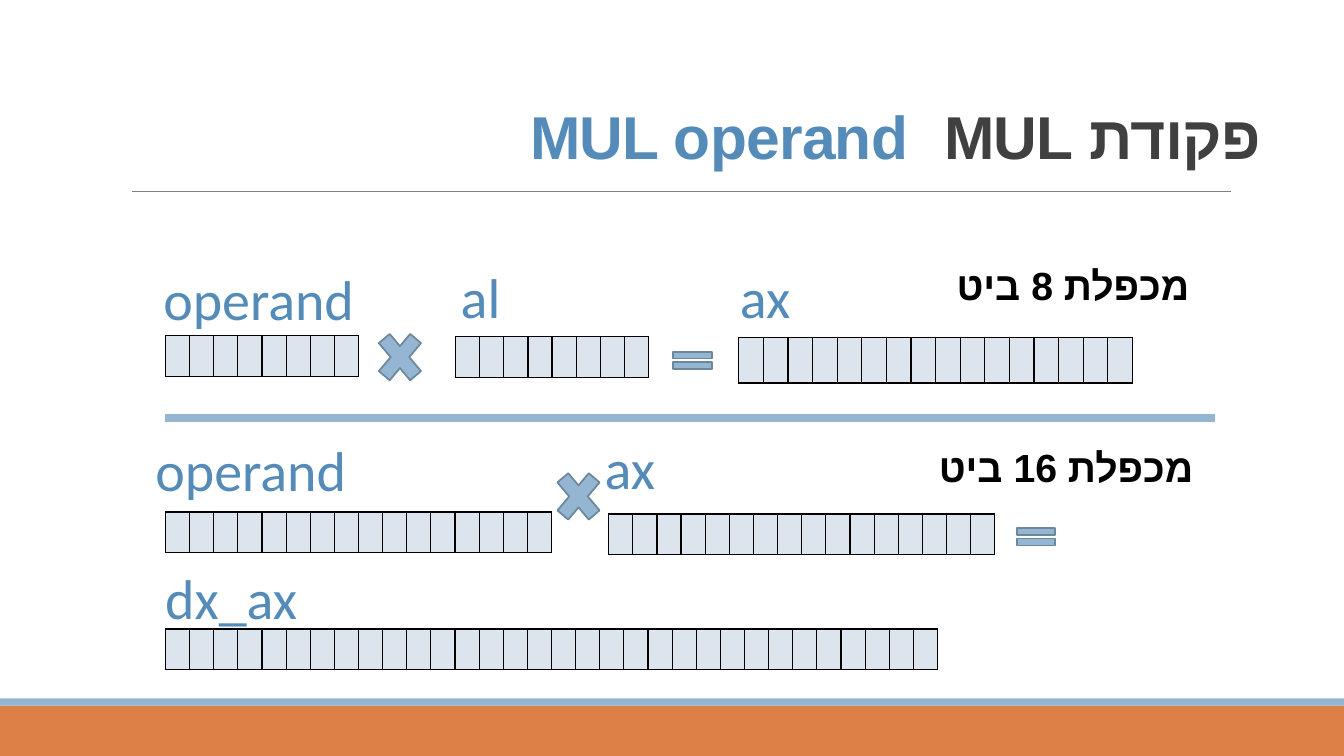
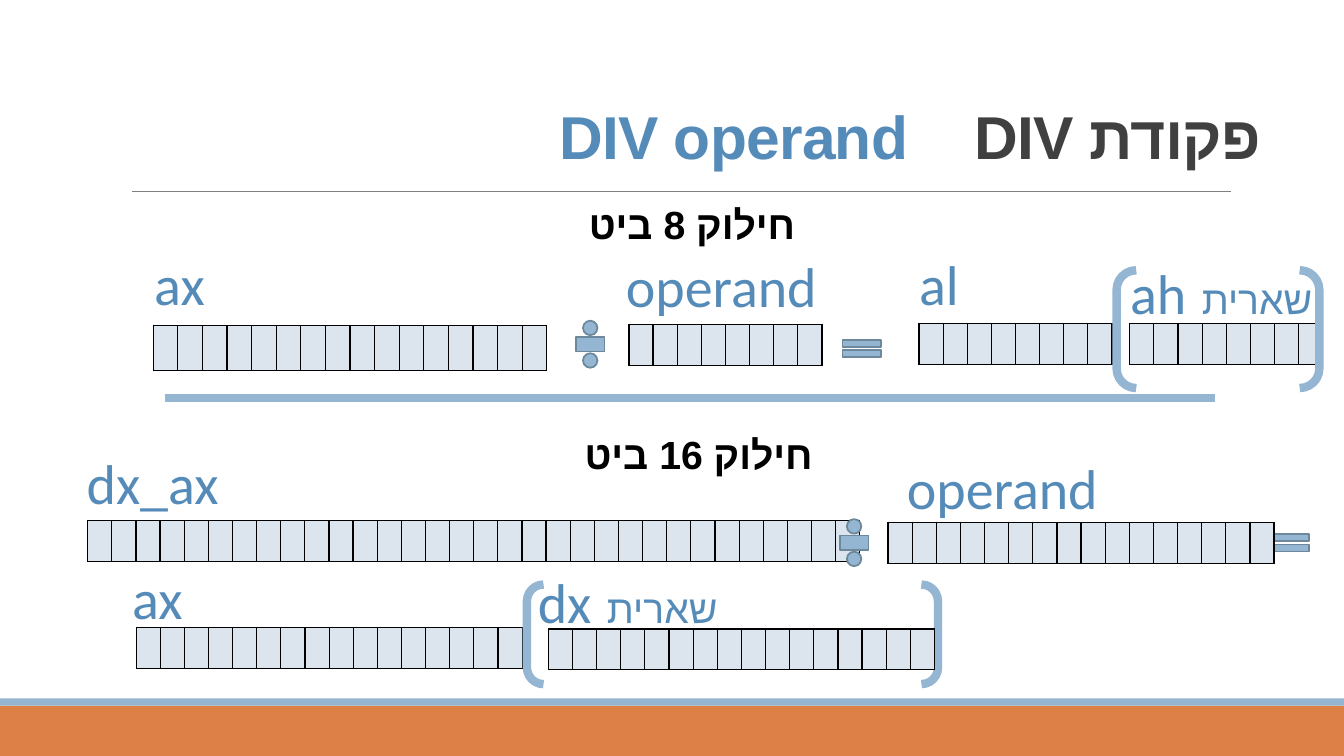
from dataclasses import dataclass
from typing import Union

from lxml import etree
from pptx import Presentation
from pptx.dml.color import RGBColor
from pptx.enum.shapes import MSO_CONNECTOR, MSO_SHAPE
from pptx.enum.text import MSO_ANCHOR, MSO_AUTO_SIZE, PP_ALIGN
from pptx.oxml.ns import qn
from pptx.util import Cm, Pt

BLACK, DARK, GREY, WHITE = "000000", "404040", "808080", "FFFFFF"
BLUE, SKY, SLATE, PALE, ORANGE = "558BB8", "94B6D2", "6D879B", "DCE5EE", "DD8047"
LATIN, HEBREW = "Calibri", "Arial"
RECTANGLE, BRACKETS = MSO_SHAPE.RECTANGLE, MSO_SHAPE.DOUBLE_BRACKET
TIMES, EQUALS = MSO_SHAPE.MATH_MULTIPLY, MSO_SHAPE.MATH_EQUAL
DIVIDE = MSO_SHAPE.MATH_DIVIDE
STRAIGHT = MSO_CONNECTOR.STRAIGHT

SLIDE_WIDTH, SLIDE_HEIGHT = 33.87, 19.05
TITLE_RIGHT = 32.03
CELL, WIDE_CELL = 0.58, 0.62
LABEL_WIDTHS = {"operand": 5.41, "al": 1.73, "ax": 2.03, "dx_ax": 4.01}
SIGN_SIZES = {TIMES: (1.52, 1.8), EQUALS: (1.32, 0.74), DIVIDE: (0.99, 1.55)}


@dataclass
class Register:
    left: float
    top: float
    bits: int
    cell: float = CELL
    height: float = 1.03


@dataclass
class Label:
    text: str
    left: float
    top: float


@dataclass
class Remainder:
    """The Hebrew word for remainder, followed by a register name."""
    register: str
    left: float
    top: float
    width: float


@dataclass
class Heading:
    text: str
    left: float
    top: float


@dataclass
class Sign:
    kind: MSO_SHAPE
    left: float
    top: float


@dataclass
class Brackets:
    left: float
    top: float
    width: float
    height: float


@dataclass
class Separator:
    top: float


Item = Union[Register, Label, Remainder, Heading, Sign, Brackets, Separator]


@dataclass
class Page:
    command: str
    tabs: str
    title_left: float
    items: list[Item]


PAGES = [
    Page("MUL", "\t\t", 9.32, [
        Register(4.17, 8.46, 8),
        Sign(TIMES, 9.32, 8.1),
        Sign(EQUALS, 16.79, 8.71),
        Register(11.48, 8.48, 8),
        Register(18.62, 8.51, 16, WIDE_CELL, 1.14),
        Label("operand", 3.76, 6.53),
        Label("al", 11.13, 6.48),
        Label("ax", 18.14, 6.48),
        Sign(TIMES, 13.82, 11.61),
        Sign(EQUALS, 25.45, 13.16),
        Label("operand", 3.56, 10.85),
        Label("ax", 14.73, 10.8),
        Register(4.17, 12.9, 16),
        Register(15.34, 12.95, 16),
        Register(4.17, 15.85, 32),
        Label("dx_ax", 3.73, 14.07),
        Separator(10.54),
        Heading("מכפלת 8 ביט", 22.68, 6.45),
        Heading("מכפלת 16 ביט", 22.78, 11.05),
    ]),
    Page("DIV", "\t\t\t", 10.03, [
        Register(23.16, 8.15, 8),
        Sign(EQUALS, 21.06, 8.41),
        Register(15.85, 8.18, 8),
        Register(3.86, 8.2, 16, WIDE_CELL, 1.14),
        Label("operand", 15.42, 6.22),
        Label("al", 22.68, 6.17),
        Label("ax", 3.38, 6.17),
        Sign(EQUALS, 31.85, 13.31),
        Label("operand", 22.5, 11.3),
        Label("ax", 2.82, 14.07),
        Register(22.38, 13.16, 16),
        Register(3.43, 15.82, 16),
        Register(2.21, 13.11, 32),
        Label("dx_ax", 1.75, 11.18),
        Separator(10.03),
        Heading("חילוק 8 ביט", 12.75, 4.93),
        Heading("חילוק 16 ביט", 13.19, 10.72),
        Sign(DIVIDE, 14.38, 7.9),
        Register(28.47, 8.15, 8),
        Remainder("ah", 27.76, 6.4, 5.56),
        Brackets(28.14, 6.81, 5.11, 2.97),
        Sign(DIVIDE, 21.03, 12.9),
        Remainder("dx", 13.13, 14.17, 5.2),
        Brackets(13.28, 14.73, 10.36, 2.51),
        Register(13.82, 15.85, 16),
    ]),
]


def paint(target, colour: str) -> None:
    """Give a fill or a line format a solid colour."""
    fill = target if hasattr(target, "solid") else target.fill
    fill.solid()
    fill.fore_color.rgb = RGBColor.from_string(colour)


def style_rtl(para, size: float, colour: str, bold: bool = False, latin: str = LATIN) -> None:
    """Right-to-left paragraph, with its own font for Hebrew letters."""
    para.alignment = PP_ALIGN.RIGHT
    para._p.get_or_add_pPr().set("rtl", "1")
    font = para.font
    font.size, font.bold = Pt(size), bold
    paint(font.fill, colour)
    font.name = latin
    etree.SubElement(font._element, qn("a:cs"), typeface=HEBREW)


def add_text(slide, left: float, top: float, width: float, height: float):
    box = slide.shapes.add_textbox(Cm(left), Cm(top), Cm(width), Cm(height))
    box.text_frame.word_wrap = True
    return box.text_frame.paragraphs[0]


def add_shape(slide, kind: MSO_SHAPE, left: float, top: float, width: float, height: float):
    shape = slide.shapes.add_shape(kind, Cm(left), Cm(top), Cm(width), Cm(height))
    shape.shadow.inherit = False
    return shape


def add_line(slide, left: float, right: float, top: float, colour: str, weight: float) -> None:
    line = slide.shapes.add_connector(STRAIGHT, Cm(left), Cm(top), Cm(right), Cm(top))
    paint(line.line, colour)
    line.line.width = Pt(weight)
    etree.SubElement(line._element.spPr, qn("a:effectLst"))


def add_borders(cell) -> None:
    properties = cell._tc.get_or_add_tcPr()
    for position, side in enumerate(("lnL", "lnR", "lnT", "lnB")):
        edge = etree.Element(qn(f"a:{side}"), w=str(Pt(1)))
        fill = etree.SubElement(edge, qn("a:solidFill"))
        etree.SubElement(fill, qn("a:srgbClr"), val=BLACK)
        properties.insert(position, edge)


def draw_register(slide, item: Register) -> None:
    table = slide.shapes.add_table(
        1, item.bits, Cm(item.left), Cm(item.top),
        Cm(item.cell * item.bits), Cm(item.height)).table
    for column in table.columns:
        column.width = Cm(item.cell)
    for cell in table.iter_cells():
        paint(cell.fill, PALE)
        add_borders(cell)


def draw_label(slide, item: Label) -> None:
    para = add_text(slide, item.left, item.top, LABEL_WIDTHS[item.text], 1.96)
    para.add_run().text = item.text
    style_rtl(para, 40, BLUE)


def draw_remainder(slide, item: Remainder) -> None:
    para = add_text(slide, item.left, item.top, item.width, 1.96)
    for text, size in (("שארית", 28), (f" {item.register}", 40)):
        span = para.add_run()
        span.text = text
        span.font.size = Pt(size)
    style_rtl(para, 40, BLUE)


def draw_heading(slide, item: Heading) -> None:
    para = add_text(slide, item.left, item.top, 7.54, 1.45)
    para.add_run().text = item.text
    style_rtl(para, 28, BLACK, bold=True)


def draw_sign(slide, item: Sign) -> None:
    sign = add_shape(slide, item.kind, item.left, item.top, *SIGN_SIZES[item.kind])
    paint(sign.fill, SKY)
    paint(sign.line, SLATE)
    sign.line.width = Pt(1.25)


def draw_brackets(slide, item: Brackets) -> None:
    pair = add_shape(slide, BRACKETS, item.left, item.top, item.width, item.height)
    pair.fill.background()
    paint(pair.line, SKY)
    pair.line.width = Pt(6)


def draw_separator(slide, item: Separator) -> None:
    add_line(slide, 4.17, 30.61, item.top, SKY, 6)


DRAWERS = {
    Register: draw_register, Label: draw_label, Remainder: draw_remainder,
    Heading: draw_heading, Sign: draw_sign, Brackets: draw_brackets,
    Separator: draw_separator,
}


def draw_frame(slide) -> None:
    """Bands at the foot and the rule under the title."""
    for top, height, colour in ((17.78, 1.27, ORANGE), (17.6, 0.18, SKY)):
        band = add_shape(slide, RECTANGLE, 0, top, SLIDE_WIDTH, height)
        paint(band.fill, colour)
        band.line.fill.background()
    add_line(slide, 3.33, 31.01, 4.83, GREY, 0.5)


def draw_title(slide, page: Page) -> None:
    title = slide.shapes.title
    title.left, title.top = Cm(page.title_left), Cm(1.78)
    title.width, title.height = Cm(TITLE_RIGHT - page.title_left), Cm(2.69)
    frame = title.text_frame
    frame.word_wrap = True
    frame.auto_size = MSO_AUTO_SIZE.NONE
    frame.vertical_anchor = MSO_ANCHOR.BOTTOM
    para = frame.paragraphs[0]
    para.line_spacing = 0.85
    para._p.get_or_add_pPr().set("defTabSz", str(Cm(1.27)))
    para.add_run().text = "פקודת "
    para.add_run().text = page.command + page.tabs
    operand = para.add_run()
    operand.text = f"{page.command} operand"
    paint(operand.font.fill, BLUE)
    style_rtl(para, 43.2, DARK, bold=True, latin="Arial")
    para.font._element.set("spc", "-50")


def main() -> None:
    deck = Presentation()
    deck.slide_width, deck.slide_height = Cm(SLIDE_WIDTH), Cm(SLIDE_HEIGHT)
    paint(deck.slide_master.background.fill, WHITE)
    for page in PAGES:
        slide = deck.slides.add_slide(deck.slide_layouts[5])
        draw_frame(slide)
        draw_title(slide, page)
        for item in page.items:
            DRAWERS[type(item)](slide, item)
    deck.save("out.pptx")


if __name__ == "__main__":
    main()
